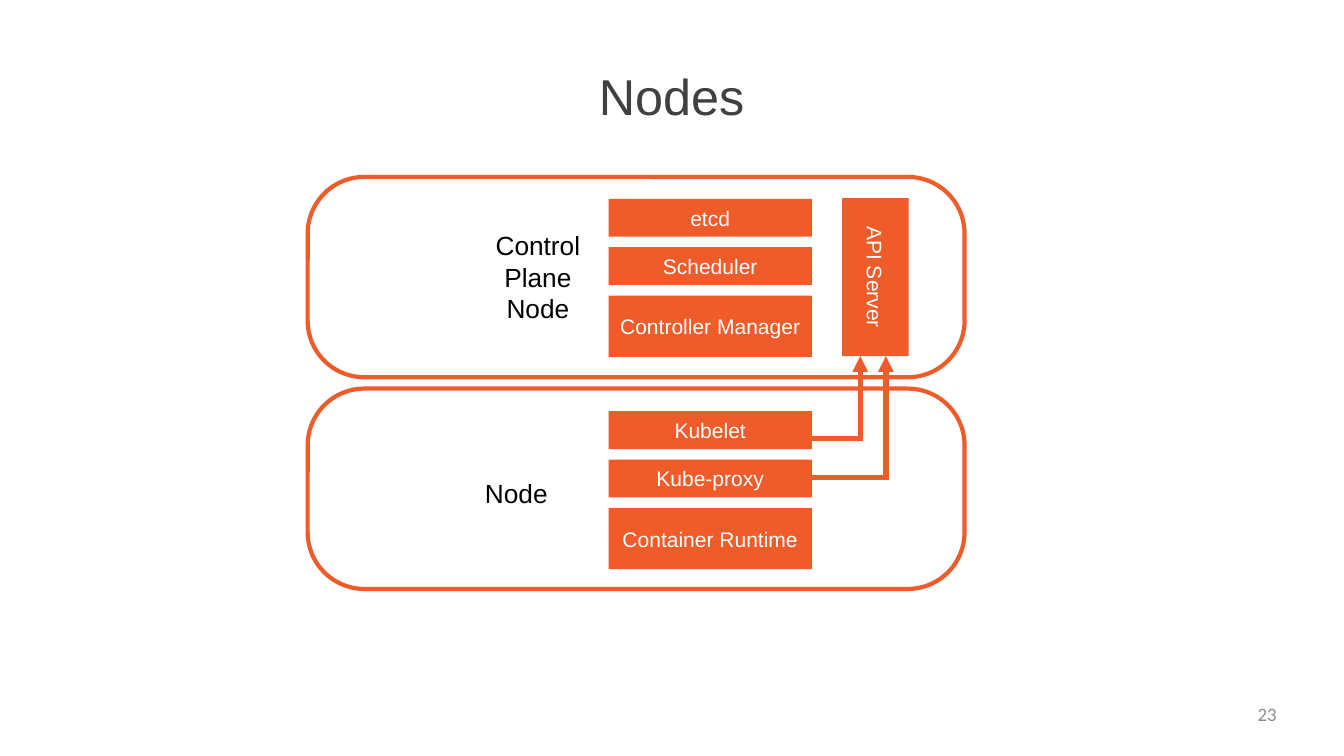
import pptx
import pptx.util
import pptx.dml.color
import pptx.enum.shapes
import pptx.enum.text
import pptx.oxml
import pptx.oxml.ns

Inches = pptx.util.Inches
Pt = pptx.util.Pt
RGBColor = pptx.dml.color.RGBColor
Shape = pptx.enum.shapes.MSO_SHAPE
Align = pptx.enum.text.PP_ALIGN
Anchor = pptx.enum.text.MSO_ANCHOR

ORANGE = RGBColor(0xF0, 0x5B, 0x2A)
WHITE = RGBColor(0xFF, 0xFF, 0xFF)
BLACK = RGBColor(0, 0, 0)
DARK = RGBColor(0x40, 0x40, 0x40)
GREY = RGBColor(0x8C, 0x8C, 0x8C)

LEFT, WIDTH = 8.05, 2.69
STEP = 0.64
HEIGHTS = (0.5, 0.5, 0.81)


def write(shape, text, size=20, color=WHITE, font="Arial",
          align=Align.CENTER, anchor=Anchor.MIDDLE):
    frame = shape.text_frame
    frame.margin_left = frame.margin_right = 0
    frame.margin_top = frame.margin_bottom = 0
    frame.word_wrap = True
    frame.vertical_anchor = anchor
    para = frame.paragraphs[0]
    para.alignment = align
    run = para.add_run()
    run.text = text
    run.font.name = font
    run.font.size = Pt(size)
    run.font.color.rgb = color


class Deck:
    def __init__(self, slide, color):
        self.shapes = slide.shapes
        self.color = color

    def label(self, x, y, w, h, text, **style):
        box = self.shapes.add_textbox(
            Inches(x), Inches(y), Inches(w), Inches(h))
        write(box, text, **style)

    def panel(self, x, y, w, h, radius):
        box = self.shapes.add_shape(
            Shape.ROUNDED_RECTANGLE,
            Inches(x), Inches(y), Inches(w), Inches(h))
        box.adjustments[0] = radius / h
        box.shadow.inherit = False
        box.fill.background()
        box.line.color.rgb = self.color
        box.line.width = Pt(4)

    def block(self, x, y, w, h, text, turned=False):
        box = self.shapes.add_shape(
            Shape.RECTANGLE, Inches(x), Inches(y), Inches(w), Inches(h))
        box.shadow.inherit = False
        box.fill.solid()
        box.fill.fore_color.rgb = self.color
        box.line.fill.background()
        write(box, text)
        if turned:
            box.text_frame._txBody.bodyPr.set("vert", "vert")

    def stack(self, top, names):
        for row, (name, high) in enumerate(zip(names, HEIGHTS)):
            self.block(LEFT, top + row * STEP, WIDTH, high, name)

    def line(self, x1, y1, x2, y2, head=False):
        link = self.shapes.add_connector(
            pptx.enum.shapes.MSO_CONNECTOR.STRAIGHT,
            Inches(x1), Inches(y1), Inches(x2), Inches(y2))
        link.line.color.rgb = self.color
        link.line.width = Pt(5)
        if head:
            end = pptx.oxml.parse_xml(
                '<a:tailEnd %s type="triangle" w="med" len="med"/>'
                % pptx.oxml.ns.nsdecls("a"))
            link.line._get_or_add_ln().append(end)
        link._element.spPr.append(pptx.oxml.parse_xml(
            "<a:effectLst %s/>" % pptx.oxml.ns.nsdecls("a")))

    def route(self, x1, y1, x2, y2):
        """Draw an arrow that runs across, then up."""
        half = 0.03
        self.line(x1, y1, x2 + half, y1)
        self.line(x2, y1 + half, x2, y2, head=True)


def main():
    show = pptx.Presentation()
    show.slide_width = Inches(17.78)
    show.slide_height = Inches(10)
    deck = Deck(show.slides.add_slide(show.slide_layouts[6]), ORANGE)

    deck.label(7.71, 0.85, 2.35, 0.83, "Nodes", size=48, color=DARK)

    for top in (2.34, 5.14):
        deck.panel(4.07, top, 8.69, 2.65, 0.75)
    deck.label(6.54, 3.02, 1.15, 1.28, "Control Plane Node",
               size=25, color=BLACK)
    deck.label(6.4, 6.3, 0.86, 0.45, "Node", size=25, color=BLACK)

    deck.stack(2.63, ("etcd", "Scheduler", "Controller Manager"))
    deck.stack(5.44, ("Kubelet", "Kube-proxy", "Container Runtime"))
    deck.block(11.14, 2.62, 0.88, 2.09, "API Server", turned=True)

    for x, y in ((11.38, 5.8), (11.72, 6.32)):
        deck.route(LEFT + WIDTH, y, x, 4.71)

    deck.label(12.8, 9.3, 4.09, 0.5, "23", size=18, color=GREY,
               font="Calibri", align=Align.RIGHT, anchor=Anchor.TOP)
    show.save("out.pptx")


if __name__ == "__main__":
    main()
